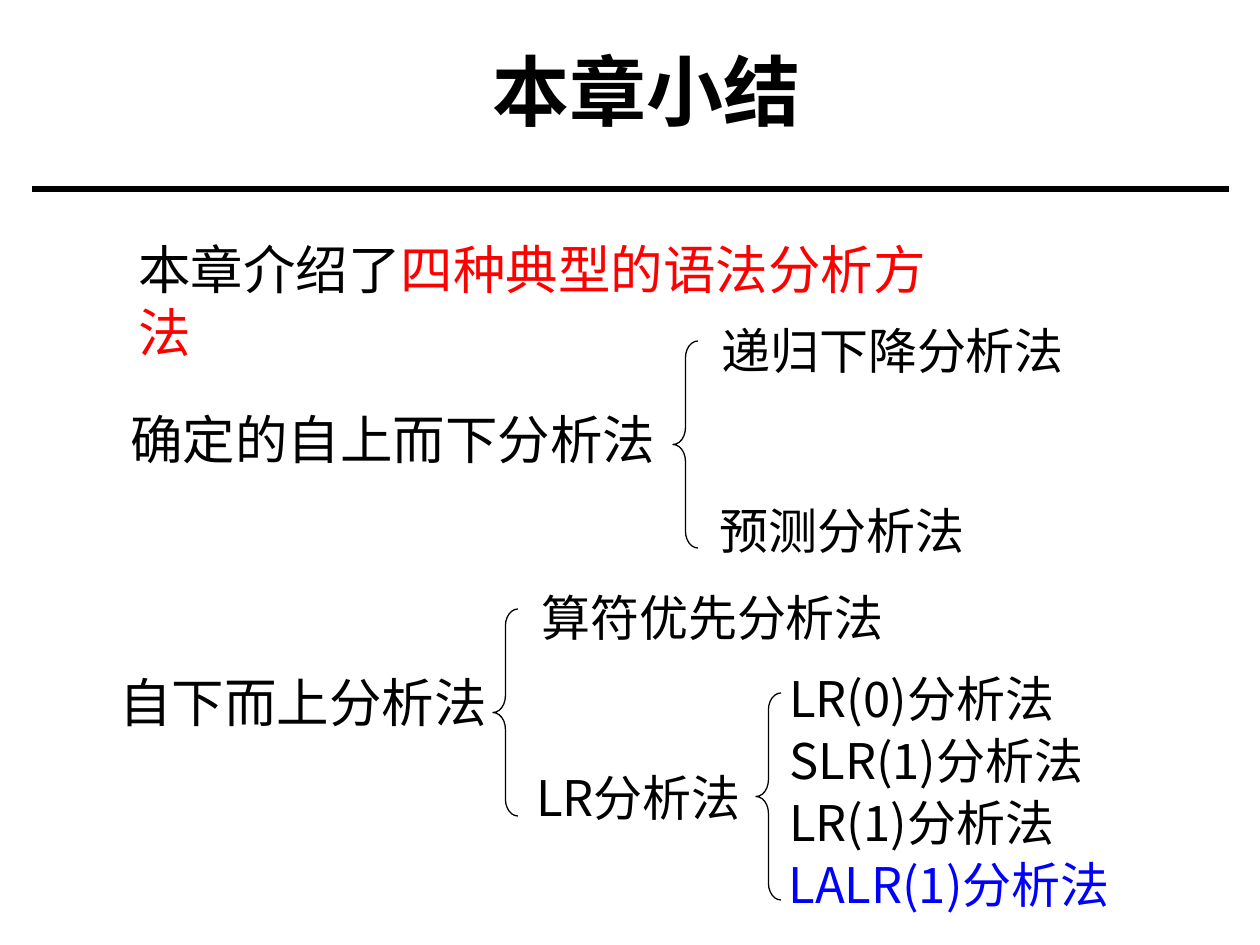
from dataclasses import dataclass

from pptx import Presentation, util as u
from pptx.dml.color import RGBColor
from pptx.enum import shapes, text
from pptx.oxml.ns import qn
from lxml import etree


@dataclass(frozen=True)
class Theme:
    cjk: str = "Noto Sans CJK SC"
    latin: str = "Arial"
    ink: str = "000000"
    accent: str = "FF0000"
    latest: str = "0000FF"
    title: int = 44
    body: int = 30
    item: int = 28


T = Theme()
PX = 914400 / 126
BRACE_W, BRACE_H = 25, 207


def px(*values):
    return [u.Emu(round(v * PX)) for v in values]


def put_text(sp, runs, size=T.item, font=T.cjk, bold=False, spacing=None,
             align=None, wrap=False, fit=text.MSO_AUTO_SIZE.SHAPE_TO_FIT_TEXT):
    """Fill a shape with one paragraph of (wording, colour) runs."""
    tf = sp.text_frame
    tf.word_wrap = wrap
    tf.auto_size = fit
    p = tf.paragraphs[0]
    p.alignment = align
    p.line_spacing = spacing
    for wording, colour in runs:
        r = p.add_run()
        r.text = wording
        r.font.size = u.Pt(size)
        r.font.bold = bold
        r.font.name = font
        r.font.color.rgb = RGBColor.from_string(colour)
        ea = etree.SubElement(r.font._element, qn("a:ea"))
        ea.set("typeface", T.cjk)


def add_text(s, box, wording, colour=T.ink, **fmt):
    put_text(s.shapes.add_textbox(*px(*box)), [(wording, colour)], **fmt)


def header(s, box):
    """Title above a full-width rule."""
    x, y, w, h = box
    sp = s.shapes.title
    sp.left, sp.top, sp.width, sp.height = px(x + 147, y, 935, 116)
    sp.text_frame.vertical_anchor = text.MSO_ANCHOR.MIDDLE
    put_text(sp, [("本章小结", T.ink)], size=T.title, bold=True, wrap=True,
             align=text.PP_ALIGN.CENTER, fit=text.MSO_AUTO_SIZE.NONE)
    rule = s.shapes.add_connector(shapes.MSO_CONNECTOR.STRAIGHT,
                                  *px(x, y + h, x + w, y + h))
    rule.line.color.rgb = RGBColor.from_string(T.ink)
    rule.line.width = u.Pt(3)
    etree.SubElement(rule._element.spPr, qn("a:effectLst"))


def intro(s, box):
    sp = s.shapes.add_textbox(*px(*box))
    put_text(sp, [("本章介绍了", T.ink), ("四种典型的语法分析方法", T.accent)],
             size=T.body)


def branch(s, x, y, items, top, pitch):
    """Left brace at x, y with (wording, dx, width, format) items beside it."""
    sp = s.shapes.add_shape(shapes.MSO_SHAPE.LEFT_BRACE,
                            *px(x, y, BRACE_W, BRACE_H))
    sp.shadow.inherit = False
    sp.fill.background()
    sp.line.color.rgb = RGBColor.from_string(T.ink)
    sp.line.width = u.Pt(0.75)
    sp.adjustments[0] = 0.67
    for i, (wording, dx, w, fmt) in enumerate(items):
        add_text(s, (x + dx, y + top + i * pitch, w, 83), wording, **fmt)


def main():
    prs = Presentation()
    prs.slide_width, prs.slide_height = px(1260, 945)
    s = prs.slides.add_slide(prs.slide_layouts[5])
    loose = dict(spacing=1.2)
    plain = dict(font=T.latin)
    wrapped = dict(spacing=1.2, wrap=True)

    header(s, (32, 32, 1197, 157))
    intro(s, (126, 231, 864, 76))

    # Top-down methods
    add_text(s, (118, 388, 562, 88), "确定的自上而下分析法", size=T.body, **loose)
    branch(s, 673, 341, [("递归下降分析法", 36, 368, plain),
                         ("预测分析法", 34, 281, loose)], top=-27, pitch=169)

    # Bottom-up methods
    add_text(s, (107, 651, 410, 88), "自下而上分析法", size=T.body, **wrapped)
    branch(s, 493, 609, [("算符优先分析法", 36, 368, plain),
                         ("LR分析法", 31, 251, loose)], top=-28, pitch=169)

    # LR family
    branch(s, 756, 693, [("LR(0)分析法", 21, 305, wrapped),
                         ("SLR(1)分析法", 21, 336, wrapped),
                         ("LR(1)分析法", 21, 305, wrapped),
                         ("LALR(1)分析法", 20, 365,
                          dict(wrapped, colour=T.latest))], top=-42, pitch=62)
    prs.save("out.pptx")


if __name__ == "__main__":
    main()
